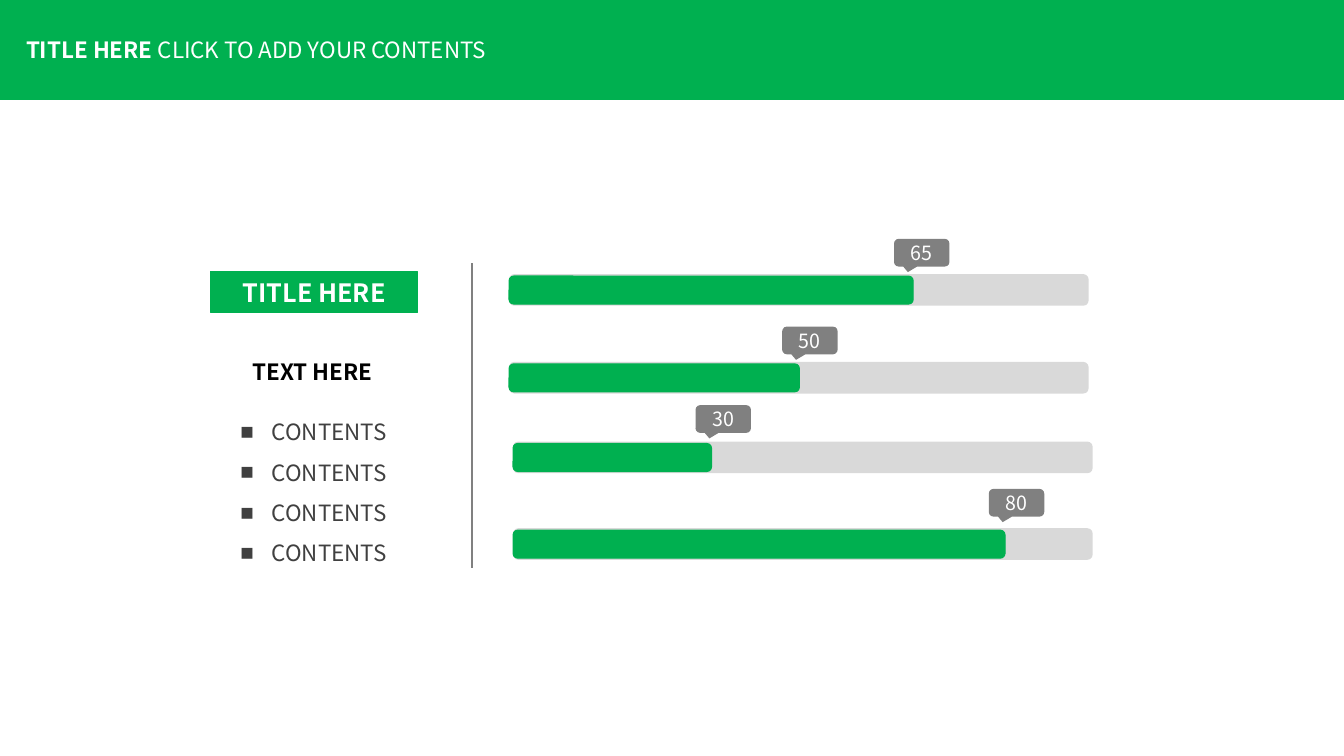
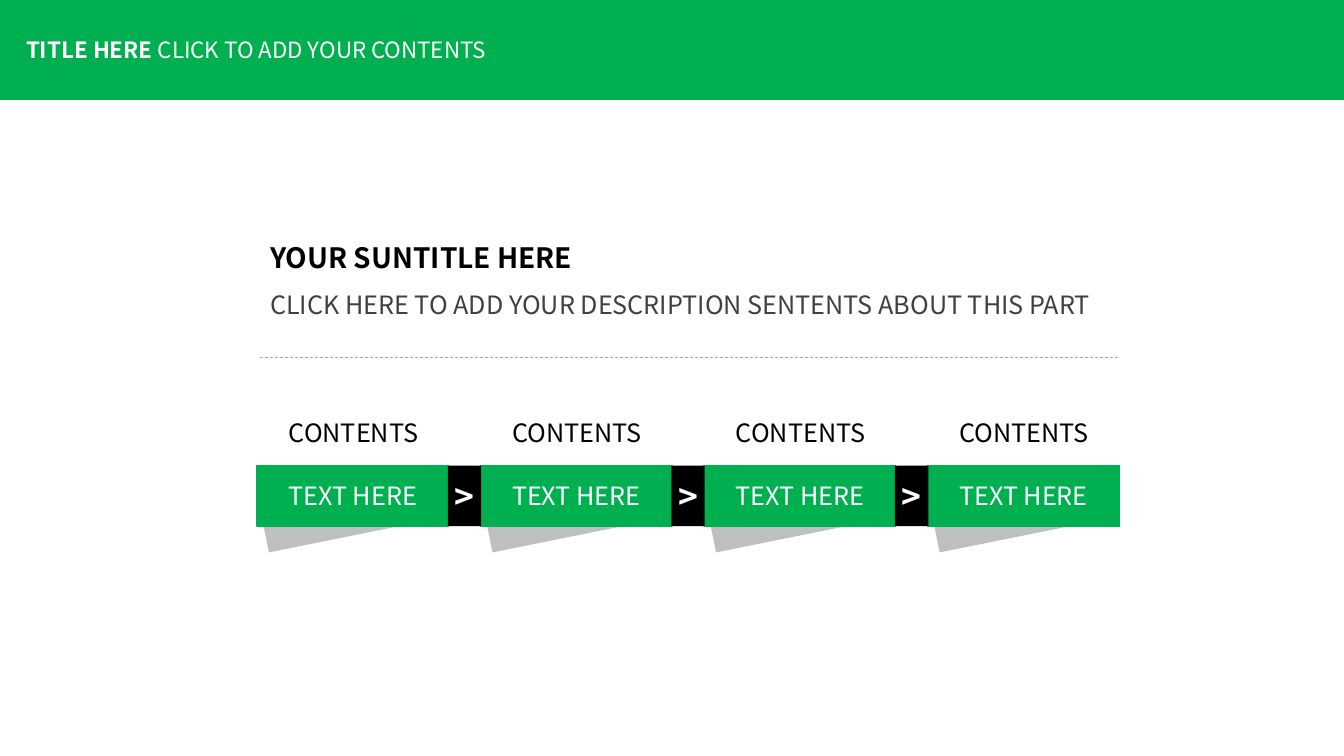
from dataclasses import dataclass

from lxml.etree import SubElement
from pptx import Presentation
from pptx.dml.color import RGBColor
from pptx.enum.dml import MSO_LINE
from pptx.enum.shapes import MSO_CONNECTOR, MSO_SHAPE
from pptx.enum.text import MSO_ANCHOR, MSO_AUTO_SIZE, PP_ALIGN
from pptx.oxml.ns import qn
from pptx.util import Pt


@dataclass(frozen=True)
class Theme:
    font: str = "Noto Sans CJK SC"
    bullet_font: str = "Arial"
    green: str = "00B050"
    black: str = "000000"
    white: str = "FFFFFF"
    text: str = "404040"
    callout: str = "808080"
    shadow: str = "BFBFBF"
    rule: str = "A6A6A6"
    value_size: int = 14
    body_size: int = 16
    label_size: int = 18
    subtitle_size: int = 20
    arrow_size: int = 24


THEME = Theme()

# value, bar left, bar top, filled width, callout left, callout top
BARS = [
    (65, 363.6, 195.8, 288.7, 638.6, 170.6),
    (50, 363.6, 258.5, 207.4, 558.7, 233.3),
    (30, 366.5, 315.4, 141.8, 496.8, 289.4),
    (80, 366.5, 377.3, 351.4, 706.3, 349.2),
]
BAR_WIDTH, BAR_HEIGHT = 414, 22.6

STEP_COUNT = 4
STEP_LEFT, STEP_TOP = 183.6, 332.6
STEP_WIDTH, STEP_HEIGHT = 136.8, 43.2
STEP_PITCH = 159.7


def rgb(color):
    return RGBColor.from_string(color)


def points(*lengths):
    return [Pt(length) for length in lengths]


def paint(shape, fill, line=None, line_width=0.75, opacity=None):
    """Set fill and outline, and drop the shadow; opacity is in percent."""
    shape.shadow.inherit = False
    shape.fill.solid()
    shape.fill.fore_color.rgb = rgb(fill)
    if opacity is not None:
        color = shape.fill._xPr.find(".//" + qn("a:srgbClr"))
        SubElement(color, qn("a:alpha"), val=str(opacity * 1000))
    if line:
        shape.line.color.rgb = rgb(line)
        shape.line.width = Pt(line_width)
    else:
        shape.line.fill.background()


def style_span(span, size, color, bold=False):
    font = span.font
    font.name, font.size, font.bold = THEME.font, Pt(size), bold
    font.color.rgb = rgb(color)
    SubElement(span._r.get_or_add_rPr(), qn("a:ea"), typeface=THEME.font)


def write(frame, text, size, color, bold=False, align=PP_ALIGN.CENTER,
          spacing=None):
    frame.word_wrap = True
    frame.text = text
    for para in frame.paragraphs:
        para.alignment = align
        para.line_spacing = spacing
        for span in para.runs:
            style_span(span, size, color, bold)


def add_block(page, kind, at, fill, line=None, line_width=0.75, opacity=None):
    block = page.shapes.add_shape(kind, *points(*at))
    paint(block, fill, line, line_width, opacity)
    return block


def add_label_block(page, kind, at, text, size, fill, line=None,
                    line_width=0.75, bold=False):
    block = add_block(page, kind, at, fill, line, line_width)
    frame = block.text_frame
    frame.margin_left = frame.margin_right = 0
    frame.margin_top = frame.margin_bottom = 0
    frame.vertical_anchor = MSO_ANCHOR.MIDDLE
    write(frame, text, size, THEME.white, bold)
    return block


def add_text(page, at, text, size, color, **style):
    box = page.shapes.add_textbox(*points(*at))
    write(box.text_frame, text, size, color, **style)
    box.text_frame.auto_size = MSO_AUTO_SIZE.SHAPE_TO_FIT_TEXT
    return box


def add_rule(page, start, end, color, width, dash=None):
    rule = page.shapes.add_connector(
        MSO_CONNECTOR.STRAIGHT, *points(*start, *end))
    rule.line.color.rgb = rgb(color)
    rule.line.width = Pt(width)
    if dash:
        rule.line.dash_style = dash
    SubElement(rule._element.spPr, qn("a:effectLst"))


def add_bullets(box, indent):
    for para in box.text_frame.paragraphs:
        properties = para._p.get_or_add_pPr()
        properties.set("marL", str(Pt(indent)))
        properties.set("indent", str(-Pt(indent)))
        SubElement(properties, qn("a:buFont"), typeface=THEME.bullet_font)
        SubElement(properties, qn("a:buChar"), char="■")


def add_page(deck):
    """Add a blank page with the shared title band."""
    page = deck.slides.add_slide(deck.slide_layouts[6])
    add_block(page, MSO_SHAPE.RECTANGLE, (0, 0, 961, 70.6),
              THEME.green, THEME.green, 1)
    box = add_text(page, (11.5, 22.3, 378, 26.6), "TITLE HERE ",
                   THEME.body_size, THEME.white, bold=True,
                   align=PP_ALIGN.LEFT)
    span = box.text_frame.paragraphs[0].add_run()
    span.text = "CLICK TO ADD YOUR CONTENTS"
    style_span(span, THEME.body_size, THEME.white)
    return page


def add_bar(page, value, left, top, filled, callout_left, callout_top):
    kind = MSO_SHAPE.FLOWCHART_ALTERNATE_PROCESS
    add_block(page, kind, (left, top, BAR_WIDTH, BAR_HEIGHT),
              THEME.black, opacity=15)
    add_block(page, kind, (left, top + 1.4, filled, BAR_HEIGHT - 2.6),
              THEME.green, THEME.green)
    callout = add_label_block(
        page, MSO_SHAPE.ROUNDED_RECTANGULAR_CALLOUT,
        (callout_left, callout_top, 39.6, 19.8), str(value),
        THEME.value_size, THEME.callout)
    for index, adjustment in enumerate((-0.25, 0.7, 0.17)):
        callout.adjustments[index] = adjustment


def add_step(page, left):
    """Add a step box with its caption and the folded shadow below it."""
    outline = [(left + x, STEP_TOP + y)
               for x, y in ((0, 20), (137.5, 36), (8.5, 62))]
    builder = page.shapes.build_freeform(*points(*outline[0]), scale=1.0)
    builder.add_line_segments([points(*corner) for corner in outline[1:]])
    paint(builder.convert_to_shape(), THEME.shadow)
    add_label_block(page, MSO_SHAPE.RECTANGLE,
                    (left, STEP_TOP, STEP_WIDTH, STEP_HEIGHT), "TEXT HERE",
                    THEME.label_size, THEME.green, THEME.green, 1)
    add_text(page, (left + 0.5, 294.5, STEP_WIDTH, 28.8), "CONTENTS",
             THEME.label_size, THEME.black)


def build_bars_page(deck):
    page = add_page(deck)
    for bar in BARS:
        add_bar(page, *bar)
    add_rule(page, (337, 188), (337, 406), THEME.callout, 1.5)
    add_label_block(page, MSO_SHAPE.RECTANGLE, (150.7, 194.2, 147.6, 29),
                    "TITLE HERE", THEME.label_size, THEME.green, THEME.green,
                    bold=True)
    add_text(page, (144.7, 242.6, 157, 33), "TEXT HERE", THEME.body_size,
             THEME.black, bold=True, spacing=1.5)
    contents = add_text(page, (145.4, 285.8, 157, 124),
                        "\n".join(["CONTENTS"] * 4), THEME.body_size,
                        THEME.text, spacing=1.5)
    add_bullets(contents, 22.5)


def build_steps_page(deck):
    page = add_page(deck)
    add_text(page, (185.8, 168.5, 600, 31.5), "YOUR SUNTITLE HERE",
             THEME.subtitle_size, THEME.black, bold=True,
             align=PP_ALIGN.LEFT)
    add_text(page, (185.8, 203, 622, 51),
             "CLICK HERE TO ADD YOUR DESCRIPTION SENTENTS ABOUT THIS PART",
             THEME.label_size, THEME.text, align=PP_ALIGN.LEFT)
    add_rule(page, (185.8, 255), (800, 255), THEME.rule, 0.5, MSO_LINE.DASH)
    lefts = [STEP_LEFT + STEP_PITCH * index for index in range(STEP_COUNT)]
    for left in lefts:
        add_step(page, left)
    for left in lefts[:-1]:
        add_label_block(page, MSO_SHAPE.RECTANGLE,
                        (left + STEP_WIDTH - 0.5, STEP_TOP, 23.8, STEP_HEIGHT),
                        ">", THEME.arrow_size, THEME.black, bold=True)


def main():
    deck = Presentation()
    deck.slide_width, deck.slide_height = points(960, 540)
    build_bars_page(deck)
    build_steps_page(deck)
    deck.save("out.pptx")


if __name__ == "__main__":
    main()
